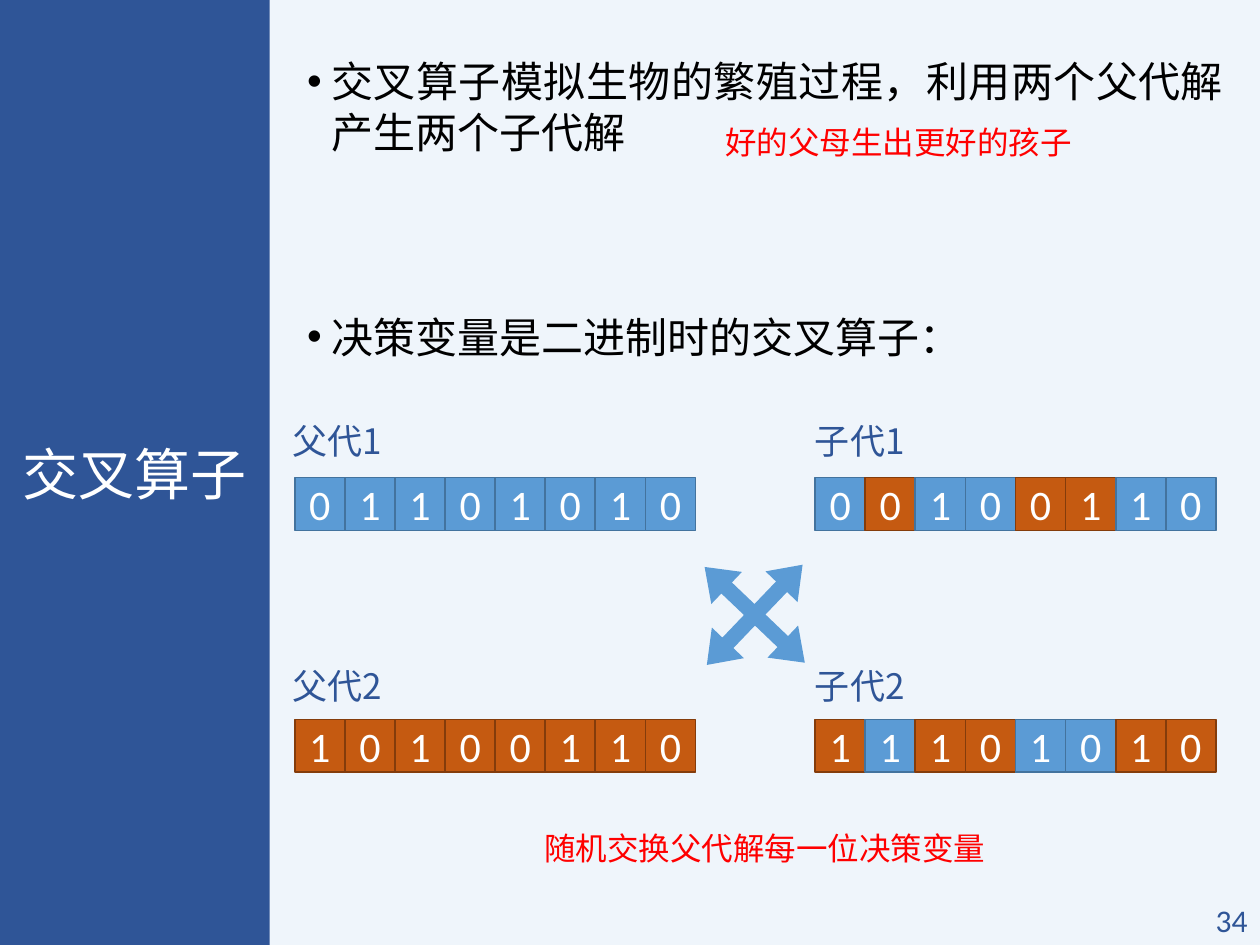
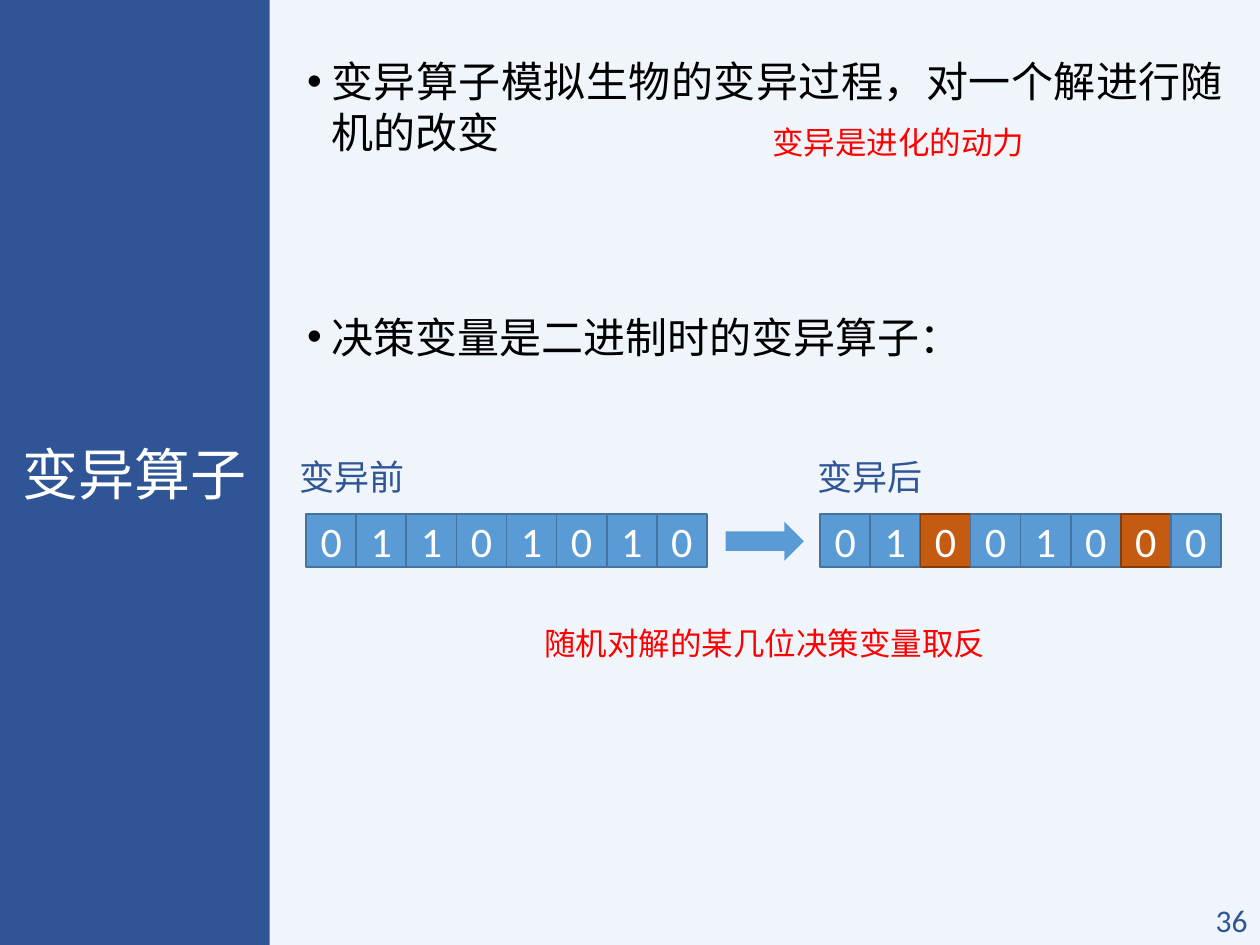
import pptx
import pptx.util
import pptx.dml.color
import pptx.enum.shapes
import pptx.enum.text
import pptx.oxml.ns
from lxml import etree

Inches, Pt = pptx.util.Inches, pptx.util.Pt
RGB = pptx.dml.color.RGBColor
SHAPE = pptx.enum.shapes.MSO_SHAPE
ALIGN = pptx.enum.text.PP_ALIGN
ANCHOR = pptx.enum.text.MSO_ANCHOR
qn = pptx.oxml.ns.qn

PALE = RGB(0xEF, 0xF5, 0xFB)
NAVY = RGB(0x2F, 0x55, 0x97)
WHITE = RGB(0xFF, 0xFF, 0xFF)
BLACK = RGB(0, 0, 0)
RED = RGB(0xFF, 0, 0)
BLUE = RGB(0x5B, 0x9B, 0xD5)
STEEL = RGB(0x43, 0x73, 0x9E)
RUST = RGB(0xC5, 0x5A, 0x11)
BROWN = RGB(0x84, 0x3C, 0x0B)
EDGES = {BLUE: STEEL, RUST: BROWN}

SANS = "Noto Sans CJK SC"
SERIF = "Times New Roman"
LATIN = "Calibri"
ROW_W, ROW_H = 3.18, 0.42


def style(para, size, color, font, align=ALIGN.LEFT):
    para.alignment = align
    for run in para.runs:
        run.font.size = Pt(size)
        run.font.name = font
        run.font.color.rgb = color
        east = etree.SubElement(run.font._element, qn("a:ea"))
        east.set("typeface", SANS)


def add_text(slide, box, text, size, color, font, align=ALIGN.LEFT,
             anchor=ANCHOR.MIDDLE):
    frame = slide.shapes.add_textbox(*map(Inches, box)).text_frame
    frame.word_wrap = True
    frame.vertical_anchor = anchor
    frame.text = text
    for para in frame.paragraphs:
        style(para, size, color, font, align)
    return frame


def add_solid(slide, kind, box, fill, edge=None):
    shape = slide.shapes.add_shape(kind, *map(Inches, box))
    shape.shadow.inherit = False
    shape.fill.solid()
    shape.fill.fore_color.rgb = fill
    if edge is None:
        shape.line.fill.background()
    else:
        shape.line.color.rgb = edge
        shape.line.width = Pt(1)
    return shape


def add_frame(deck, title, number):
    """Background, side band with the title, and page number."""
    slide = deck.slides.add_slide(deck.slide_layouts[6])
    slide.background.fill.solid()
    slide.background.fill.fore_color.rgb = PALE
    add_solid(slide, SHAPE.RECTANGLE, (0, 0, 2.14, 7.5), NAVY)
    add_text(slide, (9, 7.1, 1, 0.4), number, 18, NAVY, LATIN,
             ALIGN.RIGHT, ANCHOR.TOP)
    add_text(slide, (0.05, 1.1, 2.04, 5.31), title, 32, WHITE, SERIF,
             ALIGN.CENTER)
    return slide


def add_points(slide, box, points):
    """Two bullets, set well apart."""
    frame = add_text(slide, box, "\n".join(points), 24, BLACK, SERIF,
                     ALIGN.JUSTIFY, ANCHOR.TOP)
    for para in frame.paragraphs:
        para.line_spacing = Pt(29)
        props = para._p.get_or_add_pPr()
        props.set("marL", str(Inches(0.19)))
        props.set("indent", str(-Inches(0.19)))
        font = etree.SubElement(props, qn("a:buFont"))
        font.set("typeface", "Arial")
        etree.SubElement(props, qn("a:buChar")).set("char", "•")
    frame.paragraphs[-1].space_before = Pt(88)


def add_note(slide, box, text):
    frame = add_text(slide, box, text, 18, RED, SANS, ALIGN.CENTER,
                     ANCHOR.TOP)
    frame.margin_left = frame.margin_right = 0
    frame.margin_top = frame.margin_bottom = 0
    frame.paragraphs[0].line_spacing = 1.2


def add_genes(slide, left, top, genes):
    """Row of bits; each gene is a pair of bit and fill."""
    step = ROW_W / len(genes)
    for i, (bit, fill) in enumerate(genes):
        cell = add_solid(slide, SHAPE.RECTANGLE,
                         (left + i * step, top, step, ROW_H),
                         fill, EDGES[fill])
        cell.text_frame.text = bit
        cell.text_frame.vertical_anchor = ANCHOR.MIDDLE
        style(cell.text_frame.paragraphs[0], 24, WHITE, LATIN, ALIGN.CENTER)


def add_label(slide, left, top, text):
    add_text(slide, (left, top, 1.27, 0.44), text, 20, NAVY, SANS)


def paint(bits, fill):
    return [(bit, fill) for bit in bits]


def swap(one, two, spots):
    """Take the genes of one, with those at the spots from two."""
    return [two[i] if i in spots else one[i] for i in range(len(one))]


def add_cross(deck):
    slide = add_frame(deck, "交叉算子", "34")
    add_points(slide, (2.34, 0.39, 7.47, 2.83),
               ["交叉算子模拟生物的繁殖过程，利用两个父代解产生两个子代解",
                "决策变量是二进制时的交叉算子："])
    add_note(slide, (5.66, 0.92, 2.94, 0.36), "好的父母生出更好的孩子")

    # Parents on the left, children on the right
    one, two = paint("01101010", BLUE), paint("10100110", RUST)
    spots = {1, 4, 5}
    pairs = [("父代", 2.34, 2.22, (one, two)),
             ("子代", 6.47, 6.37,
              (swap(one, two, spots), swap(two, one, spots)))]
    for name, left, edge, rows in pairs:
        for i, genes in enumerate(rows):
            add_label(slide, edge, 3.28 + 1.94 * i, f"{name}{i + 1}")
            add_genes(slide, left, 3.79 + 1.92 * i, genes)

    # Crossed arrows
    arrow = add_solid(slide, SHAPE.QUAD_ARROW, (5.44, 4.33, 1.1, 1.1), BLUE)
    arrow.rotation = 43.7
    for i, value in enumerate((0.11, 0.16, 0.22)):
        arrow.adjustments[i] = value
    add_note(slide, (4.01, 6.52, 4.12, 0.32), "随机交换父代解每一位决策变量")


def add_mutate(deck):
    slide = add_frame(deck, "变异算子", "36")
    add_points(slide, (2.34, 0.39, 7.47, 3.14),
               ["变异算子模拟生物的变异过程，对一个解进行随机的改变",
                "决策变量是二进制时的变异算子："])
    add_note(slide, (5.66, 0.92, 2.94, 0.32), "变异是进化的动力")

    # Bits before and after flipping
    old = paint("01101010", BLUE)
    flip = paint("10010101", RUST)
    add_label(slide, 2.28, 3.56, "变异前")
    add_genes(slide, 2.43, 4.08, old)
    add_solid(slide, SHAPE.RIGHT_ARROW, (5.76, 4.14, 0.62, 0.31), BLUE)
    add_label(slide, 6.39, 3.56, "变异后")
    add_genes(slide, 6.51, 4.08, swap(old, flip, {2, 6}))
    add_note(slide, (4.01, 4.89, 4.12, 0.36), "随机对解的某几位决策变量取反")


def main():
    deck = pptx.Presentation()
    deck.slide_width, deck.slide_height = Inches(10), Inches(7.5)
    add_cross(deck)
    add_mutate(deck)
    deck.save("out.pptx")


if __name__ == "__main__":
    main()
